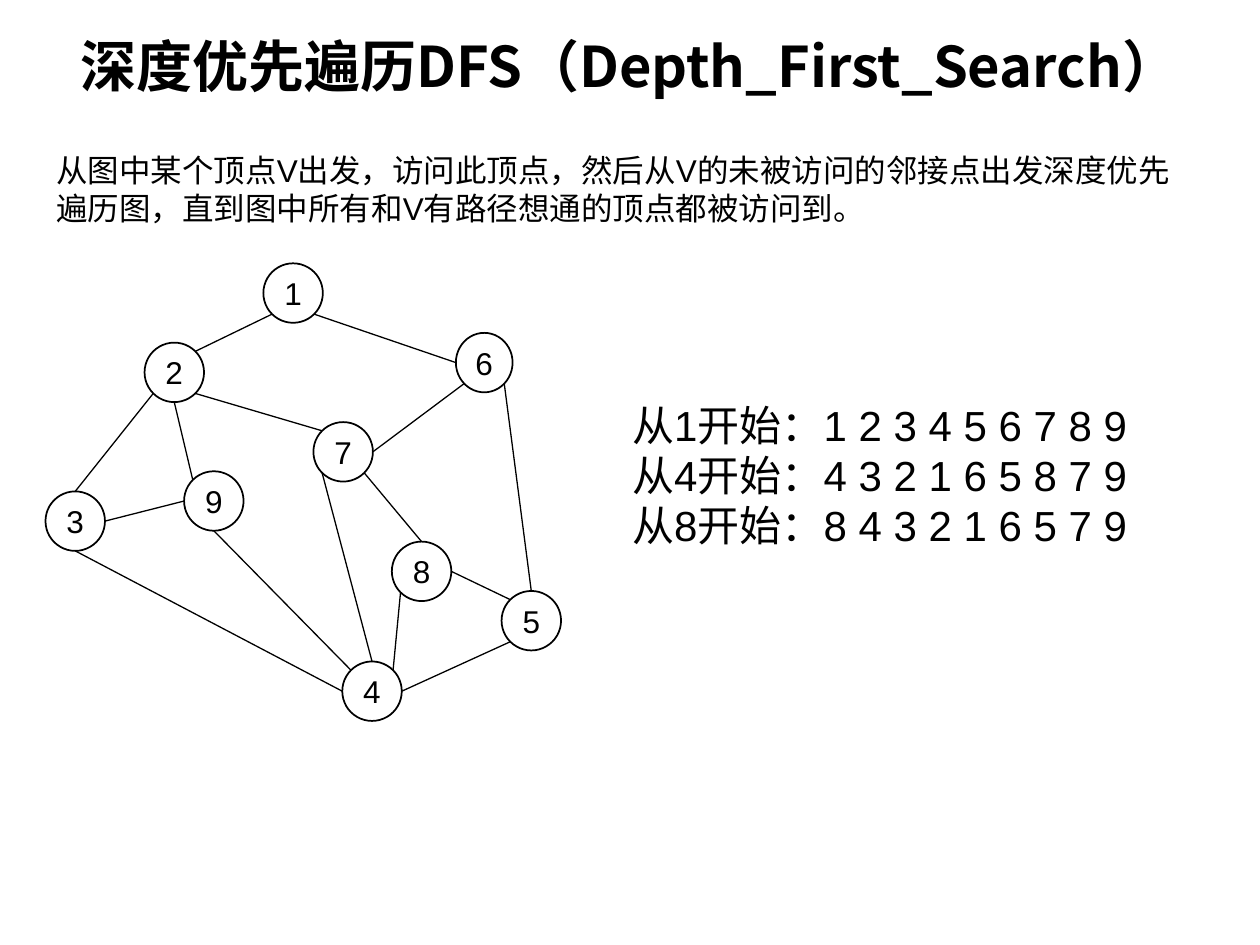
import math
from dataclasses import dataclass

from lxml import etree
from pptx import Presentation, util as u
from pptx.dml.color import RGBColor
from pptx.enum import shapes, text
from pptx.oxml.ns import qn

COLORS = {"ink": "000000", "paper": "FFFFFF"}
CJK_FONT = "Noto Sans CJK SC"
BODY_FONT = "Arial"
NODE_SIZE = 34

# Angle of each attachment point, clockwise from the right
SITES = {"R": 0, "BR": 45, "B": 90, "BL": 135, "L": 180, "TL": 225, "T": 270, "TR": 315}


@dataclass
class Node:
    left: float
    top: float
    width: float = NODE_SIZE
    height: float = NODE_SIZE

    def site(self, name: str) -> tuple[float, float]:
        angle = math.radians(SITES[name])
        return (self.left + self.width / 2 * (1 + math.cos(angle)),
                self.top + self.height / 2 * (1 + math.sin(angle)))


@dataclass
class Edge:
    start: int
    start_site: str
    end: int
    end_site: str


@dataclass
class Passage:
    left: float
    top: float
    width: float
    height: float
    lines: list[str]
    size: float
    font: str = BODY_FONT
    bold: bool = False
    align: text.PP_ALIGN = text.PP_ALIGN.LEFT


NODES = {
    1: Node(150.5, 150.5),
    9: Node(105.2, 269.3),
    8: Node(223.9, 309.5),
    6: Node(260.5, 190.2, width=32.4),
    5: Node(286.6, 337.7),
    3: Node(26, 280.8),
    2: Node(82.6, 195.8),
    4: Node(195.6, 378),
    7: Node(179.1, 241.2),
}

EDGES = [
    Edge(2, "TR", 1, "BL"),
    Edge(1, "BR", 6, "L"),
    Edge(2, "BL", 3, "T"),
    Edge(6, "BL", 7, "R"),
    Edge(2, "BR", 7, "TL"),
    Edge(2, "B", 9, "TL"),
    Edge(3, "R", 9, "L"),
    Edge(3, "B", 4, "L"),
    Edge(9, "B", 4, "TL"),
    Edge(6, "BR", 5, "T"),
    Edge(7, "BR", 8, "T"),
    Edge(8, "BL", 4, "TR"),
    Edge(4, "R", 5, "BL"),
    Edge(8, "R", 5, "TL"),
    Edge(7, "BL", 4, "T"),
]

TITLE = Passage(13.7, 14.4, 692, 46, ["深度优先遍历DFS（Depth_First_Search）"], 32,
                font=CJK_FONT, bold=True, align=text.PP_ALIGN.CENTER)
DEFINITION = Passage(25.2, 82.8, 664, 50.4, [
    "从图中某个顶点V出发，访问此顶点，然后从V的未被访问的邻接点出发深度优先遍历图，"
    "直到图中所有和V有路径想通的顶点都被访问到。"], 18)
ORDERS = Passage(354.2, 224.6, 322, 93.6, [
    "从1开始：1 2 3 4 5 6 7 8 9",
    "从4开始：4 3 2 1 6 5 8 7 9",
    "从8开始：8 4 3 2 1 6 5 7 9"], 24)


def color(name: str) -> RGBColor:
    return RGBColor.from_string(COLORS[name])


def add_run(paragraph, words: str, size: float, font: str, bold: bool = False) -> None:
    run = paragraph.add_run()
    run.text = words
    run.font.size = u.Pt(size)
    run.font.name = font
    run.font.bold = bold
    run.font.color.rgb = color("ink")
    east_asian = etree.SubElement(run.font._element, qn("a:ea"))
    east_asian.set("typeface", CJK_FONT)


def draw_passage(slide, passage: Passage) -> None:
    box = slide.shapes.add_textbox(u.Pt(passage.left), u.Pt(passage.top),
                                   u.Pt(passage.width), u.Pt(passage.height))
    frame = box.text_frame
    frame.word_wrap = True
    frame.auto_size = text.MSO_AUTO_SIZE.SHAPE_TO_FIT_TEXT
    for index, line in enumerate(passage.lines):
        paragraph = frame.add_paragraph() if index else frame.paragraphs[0]
        paragraph.alignment = passage.align
        add_run(paragraph, line, passage.size, passage.font, passage.bold)


def draw_node(slide, label: int, node: Node) -> None:
    circle = slide.shapes.add_shape(shapes.MSO_SHAPE.OVAL, u.Pt(node.left), u.Pt(node.top),
                                    u.Pt(node.width), u.Pt(node.height))
    circle.shadow.inherit = False
    circle.fill.solid()
    circle.fill.fore_color.rgb = color("paper")
    circle.line.color.rgb = color("ink")
    circle.line.width = u.Pt(1)
    frame = circle.text_frame
    frame.vertical_anchor = text.MSO_ANCHOR.MIDDLE
    frame.word_wrap = False
    frame.paragraphs[0].alignment = text.PP_ALIGN.CENTER
    add_run(frame.paragraphs[0], str(label), 18, BODY_FONT)


def draw_edge(slide, edge: Edge) -> None:
    ends = NODES[edge.start].site(edge.start_site) + NODES[edge.end].site(edge.end_site)
    link = slide.shapes.add_connector(shapes.MSO_CONNECTOR.STRAIGHT, *map(u.Pt, ends))
    link.line.color.rgb = color("ink")
    link.line.width = u.Pt(0.75)
    etree.SubElement(link._element.spPr, qn("a:effectLst"))


def main() -> None:
    deck = Presentation()
    deck.slide_width, deck.slide_height = u.Pt(720), u.Pt(540)
    slide = deck.slides.add_slide(deck.slide_layouts[6])

    # Heading
    draw_passage(slide, TITLE)

    # Graph
    for label, node in NODES.items():
        draw_node(slide, label, node)
    for edge in EDGES:
        draw_edge(slide, edge)

    # Definition and visiting orders
    draw_passage(slide, DEFINITION)
    draw_passage(slide, ORDERS)

    deck.save("out.pptx")


if __name__ == "__main__":
    main()
